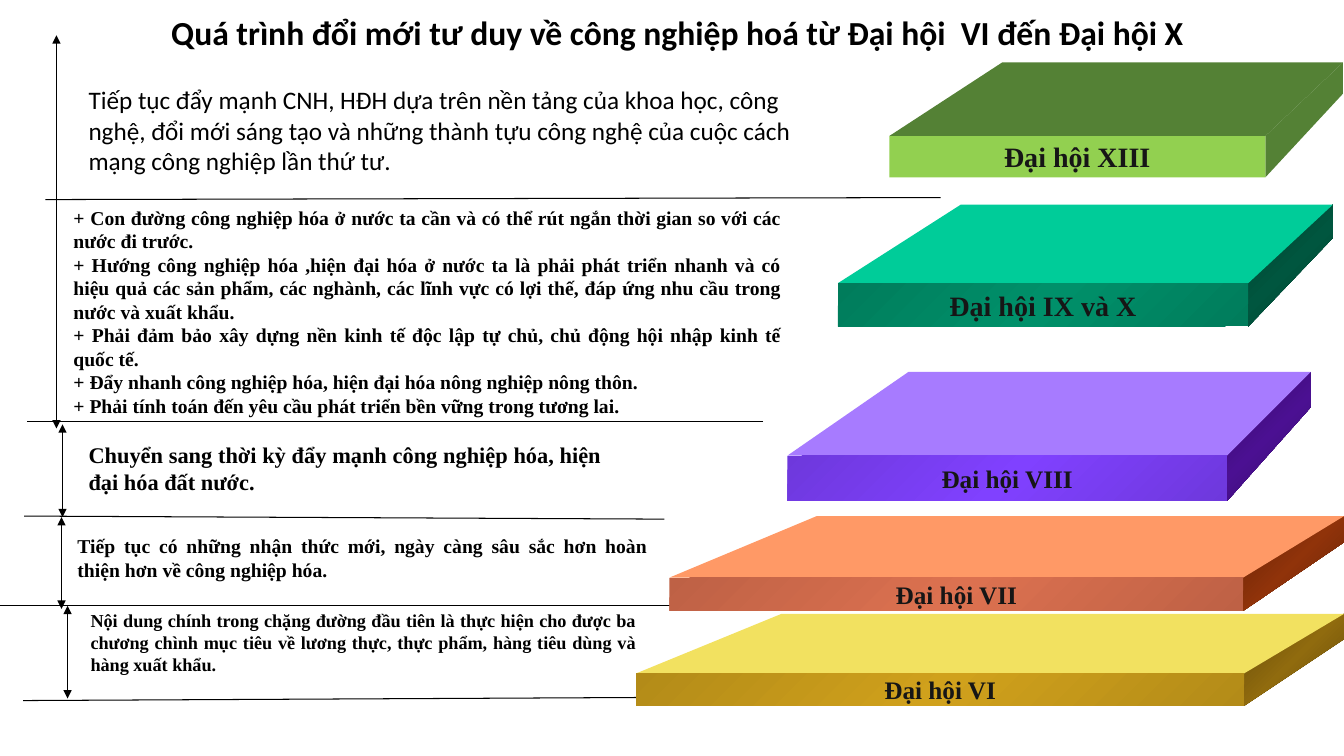
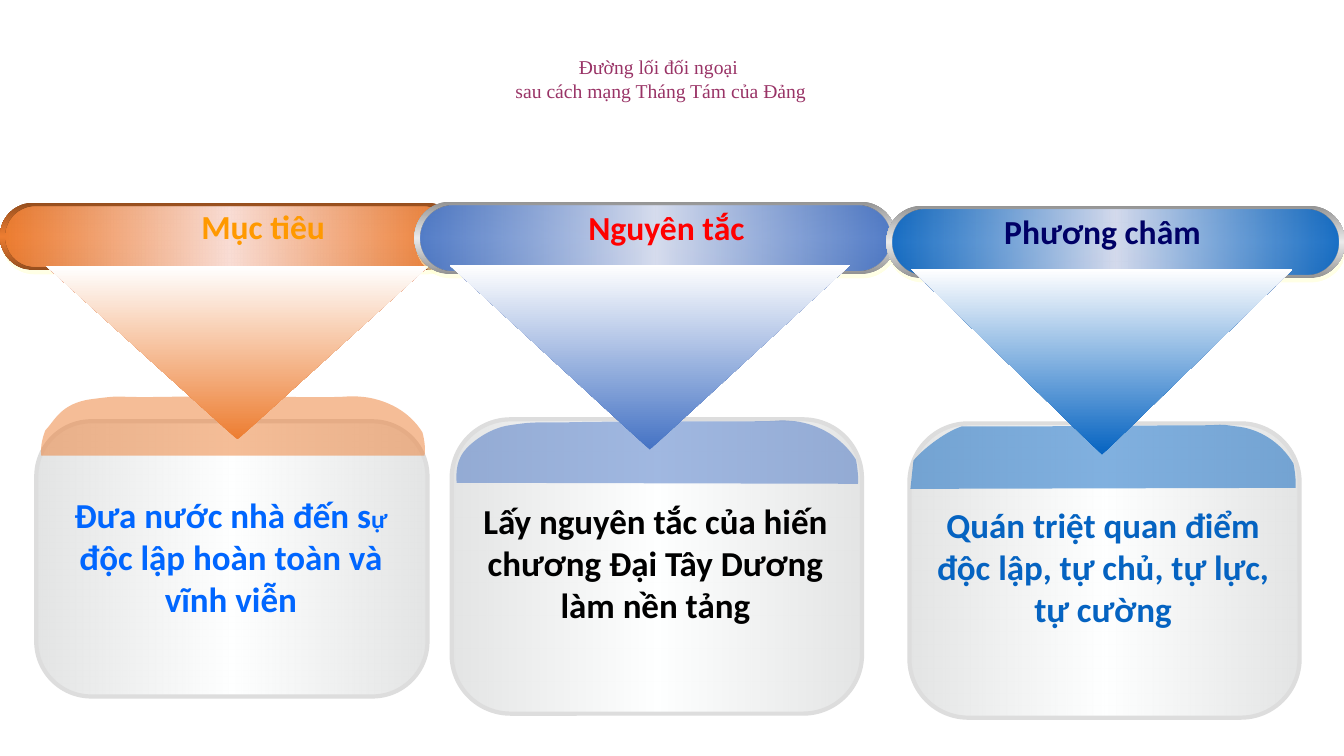
from dataclasses import dataclass

import pptx
import pptx.dml.color
import pptx.enum.shapes
import pptx.enum.text
import pptx.oxml.ns
import pptx.util
from lxml import etree

Inches = pptx.util.Inches
qn = pptx.oxml.ns.qn
SHAPE = pptx.enum.shapes.MSO_SHAPE
ALIGN = pptx.enum.text.PP_ALIGN
ANCHOR = pptx.enum.text.MSO_ANCHOR

SERIF, SANS = "Times New Roman", "Calibri"
COLORS = {
    "ink": "000000", "step_label": "161616", "title": "993366", "title_edge": "FF0000",
    "card_edge": "E3E4E4", "card_middle": "FEFFFF", "card_line": "DDDDDD",
    "glow": "FFFFCC", "white": "FFFFFF", "orange": "ED7D31", "orange_rim": "954E1E",
    "orange_light": "F9DDD5", "blue": "4472C4", "blue_light": "D6DCED",
    "azure": "0563C1", "azure_light": "D4DAEC", "rim": "939393", "rim_light": "EAEAEA",
    "goal": "FF9900", "goal_text": "0066FF", "principle": "FF0000", "motto": "000066",
    "vi_side": "654B09", "vi_side_mid": "906B0E", "vi_top": "F2E160",
    "vi_front": "B38B18", "vi_front_mid": "D0A11C",
    "vii_side": "652307", "vii_side_mid": "90330A", "vii_top": "FF9966",
    "vii_front": "BE6145", "vii_front_mid": "DC7150",
    "viii_side": "340B66", "viii_side_mid": "4B1092", "viii_top": "A77BFF",
    "viii_front": "6E38DC", "viii_front_mid": "8041FF",
    "ix_side": "003C2C", "ix_side_mid": "00563F", "ix_top": "00CC99",
    "ix_front": "007C5B", "ix_front_mid": "00906A",
    "xiii_top": "548135", "xiii_front": "92D050",
}

Point = tuple[float, float]
Box = tuple[float, float, float, float]
Paragraph = str | list[tuple[str, float]]


@dataclass(frozen=True)
class Step:
    label: str
    label_size: float
    key: str
    left: float
    right: float
    front_top: float
    bottom: float
    back_top: float
    back_left: float
    back_right: float
    side_bottom: float
    note_box: Box
    note: list[Paragraph]
    note_size: float
    divider: tuple[Point, Point]
    span: tuple[Point, Point] | None = None
    flat: bool = False


@dataclass(frozen=True)
class Pillar:
    heading: str
    heading_color: str
    heading_box: Box
    body: Paragraph
    body_color: str
    body_box: Box
    tone: str
    rim: tuple[str, str]
    card: Box
    bar: Box
    arrow: Box
    cap: list[tuple[Point, ...]]


STEPS = [
    Step("Đại hội VI", 18, "vi", 6.31, 12.34, 6.68, 7, 6.09, 7.75, 13.33, 6.34,
         (0.8, 6, 5.6, 0.76),
         ["Nội dung chính trong chặng đường đầu tiên là thực hiện cho được ba chương chình "
          "mục tiêu về lương thực, thực phẩm, hàng tiêu dùng và hàng xuất khẩu."], 13,
         ((6.31, 6.92), (0.23, 6.95)), ((0.67, 6.01), (0.67, 6.93))),
    Step("Đại hội VII", 18, "vii", 6.64, 12.33, 5.73, 6.06, 5.12, 8.1, 13.33, 5.38,
         (0.67, 5.25, 5.85, 0.57),
         ["Tiếp tục có những nhận thức mới, ngày càng sâu sắc hơn hoàn thiện hơn về "
          "công nghiệp hóa."], 14,
         ((7.51, 6.01), (0, 6.01)), ((0.61, 5.13), (0.61, 6.04))),
    Step("Đại hội VIII", 18, "viii", 7.81, 12.17, 4.52, 4.97, 3.69, 9.01, 13, 4.04,
         (0.78, 4.33, 5.28, 0.64),
         ["Chuyển sang thời kỳ đẩy mạnh công nghiệp hóa, hiện đại hóa đất nước."], 16,
         ((6.59, 5.15), (0.24, 5.12)), ((0.62, 4.21), (0.62, 5.13))),
    Step("Đại hội IX và X", 20, "ix", 8.31, 12.38, 2.81, 3.24, 2.03, 9.53, 13.22, 2.36,
         (0.63, 1.99, 7.22, 2.22),
         ["+ Con đường công nghiệp hóa ở nước ta cần và có thể rút ngắn thời gian so với "
          "các nước đi trước.",
          "+ Hướng công nghiệp hóa ,hiện đại hóa ở nước ta là phải phát triển nhanh và có "
          "hiệu quả các sản phẩm, các nghành, các lĩnh vực có lợi thế, đáp ứng nhu cầu "
          "trong nước và xuất khẩu.",
          "+ Phải đảm bảo xây dựng nền kinh tế độc lập tự chủ, chủ động hội nhập kinh tế "
          "quốc tế.",
          "+ Đẩy nhanh công nghiệp hóa, hiện đại hóa nông nghiệp nông thôn.",
          "+ Phải tính toán đến yêu cầu phát triển bền vững trong tương lai."], 14,
         ((7.57, 4.18), (0.27, 4.18)), ((0.56, 0.35), (0.56, 4.25))),
    Step("Đại hội XIII", 20, "xiii", 8.82, 12.55, 1.35, 1.76, 0.62, 9.94, 13.32, 0.93,
         (0.78, 0.79, 7.26, 1.01),
         ["Tiếp tục đẩy mạnh CNH, HĐH dựa trên nền tảng của khoa học, công nghệ, đổi mới "
          "sáng tạo và những thành tựu công nghệ của cuộc cách mạng công nghiệp lần thứ tư."],
         18, ((9.33, 1.96), (0.45, 1.98)), flat=True),
]

PILLARS = [
    Pillar("Mục tiêu", "goal", (1.89, 1.99, 1.44, 0.51),
           [("Đưa nước nhà đến s", 25), ("ự ", 18), ("độc lập hoàn toàn và vĩnh viễn", 25)],
           "goal_text", (0.37, 4.85, 3.84, 1.36), "orange", ("orange_rim", "orange"),
           (0.36, 4.18, 3.88, 2.73), (0, 2.01, 4.56, 0.67), (0.46, 2.64, 3.79, 1.72),
           [((0.41, 4.52),), ((0.41, 4.52), (0.39, 4.42), (0.45, 4.27)),
            ((0.54, 4.18), (0.6, 4), (0.91, 3.96)),
            ((1.22, 3.92), (1.1, 3.94), (1.48, 3.94)),
            ((1.86, 3.93), (2.85, 3.94), (3.2, 3.94)),
            ((3.56, 3.94), (3.4, 3.92), (3.62, 3.94)),
            ((3.84, 3.97), (4.06, 4.08), (4.19, 4.29)),
            ((4.23, 4.44), (4.21, 4.52), (4.21, 4.52))]),
    Pillar("Nguyên tắc", "principle", (5.73, 2, 1.76, 0.51),
           "Lấy nguyên tắc của hiến chương Đại Tây Dương làm nền tảng",
           "ink", (4.48, 4.91, 4.04, 1.36), "blue", ("rim", "rim_light"),
           (4.48, 4.16, 4.07, 2.92), (4.11, 2, 4.78, 0.72), (4.46, 2.63, 3.97, 1.83),
           [((4.53, 4.79),), ((4.53, 4.79), (4.51, 4.64), (4.57, 4.53)),
            ((4.62, 4.42), (4.84, 4.25), (5.05, 4.22)),
            ((5.26, 4.19), (5.23, 4.19), (5.63, 4.19)),
            ((6.03, 4.18), (7.07, 4.18), (7.45, 4.18)),
            ((7.82, 4.18), (7.66, 4.16), (7.89, 4.18)),
            ((8.12, 4.21), (8.35, 4.34), (8.49, 4.56)),
            ((8.52, 4.72), (8.51, 4.8), (8.51, 4.8))]),
    Pillar("Phương châm", "motto", (9.85, 2.04, 2.17, 0.51),
           "Quán triệt quan điểm độc lập, tự chủ, tự lực, tự cường",
           "azure", (9.02, 4.95, 3.84, 1.36), "azure", ("rim", "rim_light"),
           (9.02, 4.2, 3.87, 2.92), (8.79, 2.04, 4.55, 0.72), (9.04, 2.67, 3.78, 1.84),
           [((9.03, 4.85),), ((9.06, 4.57),),
            ((9.14, 4.47), (9.36, 4.29), (9.54, 4.23)), ((10.12, 4.23),),
            ((10.5, 4.23), (11.48, 4.22), (11.84, 4.22)),
            ((12.19, 4.22), (12.04, 4.2), (12.26, 4.23)),
            ((12.48, 4.25), (12.7, 4.38), (12.83, 4.6)),
            ((12.86, 4.76), (12.85, 4.84), (12.85, 4.84))]),
]


def rgb(color: str) -> pptx.dml.color.RGBColor:
    return pptx.dml.color.RGBColor.from_string(COLORS[color])


def add_color(parent, color: str, opacity: float = 100) -> None:
    node = etree.SubElement(parent, qn("a:srgbClr"), val=COLORS[color])
    if opacity < 100:
        etree.SubElement(node, qn("a:alpha"), val=str(int(opacity * 1000)))


def paint(shape, *colors: str, angle: int = 0, opacity: float = 100) -> None:
    """Fill with one colour or an even gradient; opacity affects a gradient's outer stops."""
    shape.shadow.inherit = False
    shape.line.fill.background()
    if len(colors) == 1:
        shape.fill.solid()
        shape.fill.fore_color.rgb = rgb(colors[0])
        if opacity < 100:
            solid = shape._element.spPr.find(qn("a:solidFill"))
            solid.clear()
            add_color(solid, colors[0], opacity)
        return
    shape.fill.gradient()
    gradient = shape._element.spPr.find(qn("a:gradFill"))
    stops = gradient.find(qn("a:gsLst"))
    stops.clear()
    last = len(colors) - 1
    for index, color in enumerate(colors):
        stop = etree.SubElement(stops, qn("a:gs"), pos=str(100000 * index // last))
        add_color(stop, color, opacity if index in (0, last) else 100)
    gradient.find(qn("a:lin")).set("ang", str(angle * 60000))


def add_preset(slide, preset, box: Box, radius: float | None = None):
    shape = slide.shapes.add_shape(preset, *map(Inches, box))
    if radius is not None:
        shape.adjustments[0] = radius
    return shape


def add_outline(slide, segments: list[tuple[Point, ...]]):
    """Draw a closed outline; one point makes a straight side, three a cubic curve."""
    start, *rest = [(Inches(x), Inches(y)) for segment in segments for x, y in segment]
    builder = slide.shapes.build_freeform(*start, scale=1.0)
    builder.add_line_segments(rest, close=True)
    shape = builder.convert_to_shape()
    sides = iter(list(shape._element.spPr.iter(qn("a:lnTo"))))
    for segment in segments[1:]:
        first, *others = [next(sides) for _ in segment]
        if others:
            curve = etree.Element(qn("a:cubicBezTo"))
            first.addprevious(curve)
            for side in (first, *others):
                curve.append(side[0])
                side.getparent().remove(side)
    return shape


def write(shape, paragraphs: list[Paragraph], *, size: float, color: str = "ink",
          font: str = SERIF, bold: bool = True, align=ALIGN.CENTER,
          anchor=ANCHOR.TOP, edge: str | None = None) -> None:
    frame = shape.text_frame
    frame.word_wrap = True
    frame.vertical_anchor = anchor
    for index, content in enumerate(paragraphs):
        paragraph = frame.add_paragraph() if index else frame.paragraphs[0]
        paragraph.alignment = align
        for text, run_size in [(content, size)] if isinstance(content, str) else content:
            for row, line in enumerate(text.split("\n")):
                if row:
                    paragraph.add_line_break()
                    etree.SubElement(paragraph._p[-1], qn("a:rPr"), sz=str(run_size * 100))
                run = paragraph.add_run()
                run.text = line
                run.font.name = font
                run.font.size = pptx.util.Pt(run_size)
                run.font.bold = bold
                run.font.color.rgb = rgb(color)
                if edge:
                    outline = etree.Element(qn("a:ln"), w=str(pptx.util.Pt(0.75)))
                    add_color(etree.SubElement(outline, qn("a:solidFill")), edge)
                    run.font._element.insert(0, outline)


def add_text(slide, box: Box, paragraphs: list[Paragraph], *, fill: str | None = None,
             **style) -> None:
    if fill:
        holder = add_preset(slide, SHAPE.RECTANGLE, box)
        paint(holder, fill)
    else:
        holder = slide.shapes.add_textbox(*map(Inches, box))
    write(holder, paragraphs, **style)


def add_line(slide, start: Point, end: Point, arrows: bool = False) -> None:
    line = slide.shapes.add_connector(pptx.enum.shapes.MSO_CONNECTOR.STRAIGHT,
                                      *map(Inches, start + end))
    line.line.width = pptx.util.Pt(0.75)
    line.line.color.rgb = rgb("ink")
    properties = line._element.spPr
    if arrows:
        for tip in ("a:headEnd", "a:tailEnd"):
            etree.SubElement(properties.find(qn("a:ln")), qn(tip), type="triangle")
    etree.SubElement(properties, qn("a:effectLst"))


def draw_step(slide, step: Step) -> None:
    add_line(slide, *step.divider)
    corner = (step.right, step.front_top)
    back_corner = (step.back_right, step.back_top)
    side = add_outline(slide, [((step.back_right, step.side_bottom),),
                               ((step.right, step.bottom),), (corner,), (back_corner,)])
    top = add_outline(slide, [(corner,), ((step.left, step.front_top),),
                              ((step.back_left, step.back_top),), (back_corner,)])
    front = add_preset(slide, SHAPE.RECTANGLE,
                       (step.left, step.front_top, step.right - step.left,
                        step.bottom - step.front_top))
    paint(top, f"{step.key}_top")
    if step.flat:
        paint(side, f"{step.key}_top")
        paint(front, f"{step.key}_front")
    else:
        for face, part in ((side, "side"), (front, "front")):
            outer = f"{step.key}_{part}"
            paint(face, outer, f"{outer}_mid", outer, angle=45)
    write(front, [step.label], size=step.label_size, color="step_label",
          anchor=ANCHOR.MIDDLE)
    if step.span:
        add_line(slide, *step.span, arrows=True)
    add_text(slide, step.note_box, step.note, size=step.note_size, bold=not step.flat,
             font=SANS if step.flat else SERIF, fill="white" if step.flat else None,
             align=ALIGN.LEFT if step.flat else ALIGN.JUSTIFY)


def draw_pillar(slide, pillar: Pillar) -> None:
    card = add_preset(slide, SHAPE.ROUNDED_RECTANGLE, pillar.card, 0.2)
    paint(card, "card_edge", "card_middle", "card_edge", opacity=98)
    card.line.color.rgb = rgb("card_line")
    card.line.width = pptx.util.Pt(3)
    paint(add_outline(slide, pillar.cap), pillar.tone, opacity=50)
    add_text(slide, pillar.body_box, [pillar.body], size=25, color=pillar.body_color,
             font=SANS)

    rim = add_preset(slide, SHAPE.ROUNDED_RECTANGLE, pillar.bar, 0.5)
    outer, middle = pillar.rim
    paint(rim, outer, middle, outer, angle=90)
    glow = etree.SubElement(rim._element.spPr.find(qn("a:effectLst")), qn("a:outerShdw"),
                            dist=str(pptx.util.Pt(3.2)), dir=str(72 * 60000))
    add_color(glow, "glow", 50)
    left, top, width, height = pillar.bar
    bar = add_preset(slide, SHAPE.ROUNDED_RECTANGLE,
                     (left + 0.06, top + 0.04, width - 0.12, height - 0.08), 0.5)
    paint(bar, pillar.tone, f"{pillar.tone}_light", pillar.tone, opacity=90)
    add_text(slide, pillar.heading_box, [pillar.heading], size=24,
             color=pillar.heading_color, font=SANS)

    arrow = add_preset(slide, SHAPE.ISOSCELES_TRIANGLE, pillar.arrow)
    arrow.rotation = 180
    paint(arrow, pillar.tone, "white", angle=90)


def main() -> None:
    deck = pptx.Presentation()
    deck.slide_width, deck.slide_height = Inches(13.33), Inches(7.5)
    blank = deck.slide_layouts[6]

    congresses = deck.slides.add_slide(blank)
    add_text(congresses, (1.33, 0.07, 10.78, 0.5),
             ["Quá trình đổi mới tư duy về công nghiệp hoá từ Đại hội  VI đến Đại hội X"],
             size=24, font=SANS, fill="white")
    for step in STEPS:
        draw_step(congresses, step)

    diplomacy = deck.slides.add_slide(blank)
    for pillar in PILLARS:
        draw_pillar(diplomacy, pillar)
    add_text(diplomacy, (0.22, 0.5, 12.67, 1.16),
             ["Đường lối đối ngoại \nsau cách mạng Tháng Tám của Đảng"],
             size=14, color="title", bold=False, edge="title_edge")
    deck.save("out.pptx")


if __name__ == "__main__":
    main()
